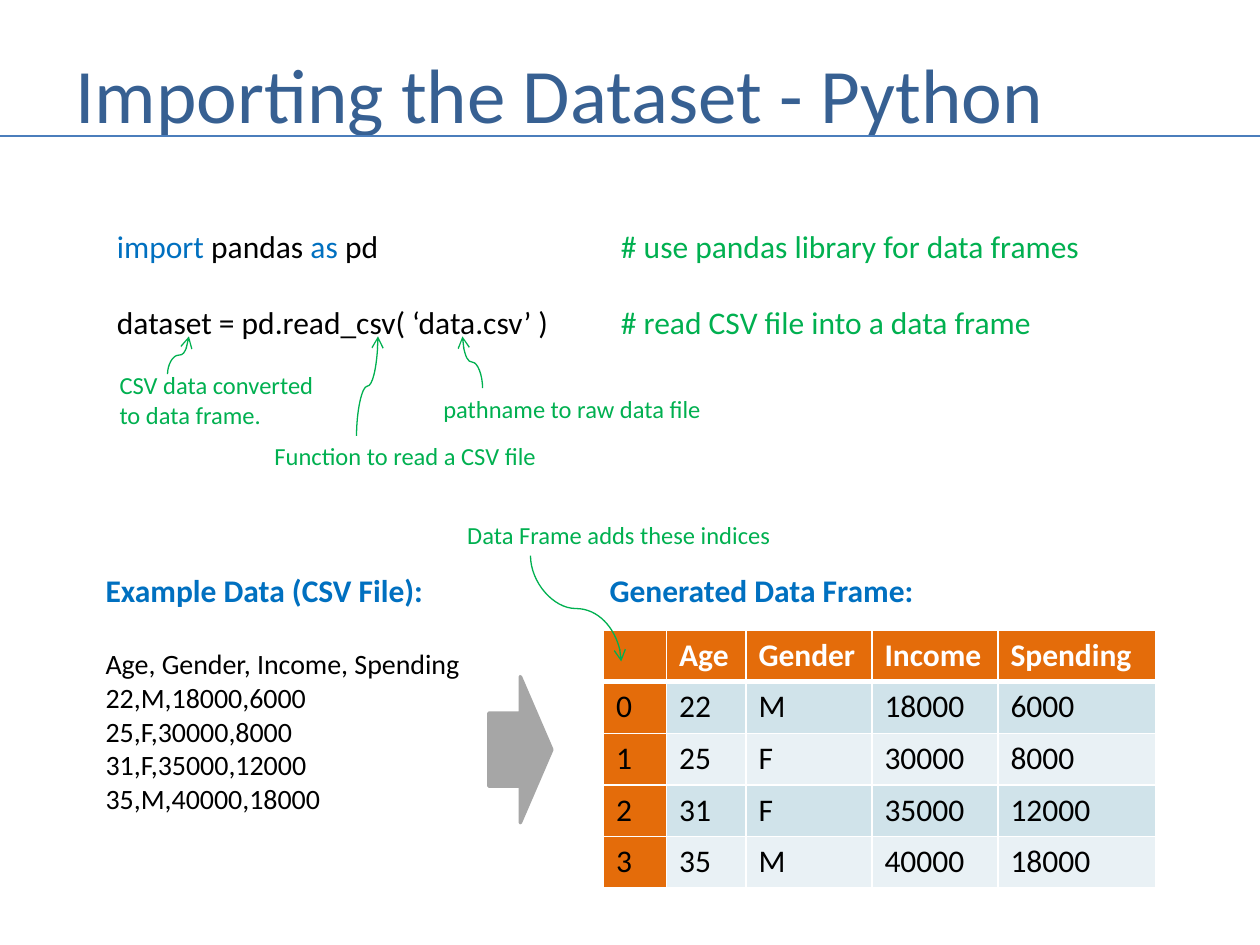
from dataclasses import dataclass

from lxml import etree
from pptx import Presentation
from pptx.dml.color import RGBColor
from pptx.enum.shapes import MSO_CONNECTOR, MSO_SHAPE
from pptx.enum.text import MSO_ANCHOR, MSO_AUTO_SIZE, PP_ALIGN
from pptx.oxml.ns import qn
from pptx.util import Inches, Pt

LINE, CURVE = MSO_CONNECTOR.STRAIGHT, MSO_CONNECTOR.CURVE
ARROW = MSO_SHAPE.RIGHT_ARROW
LEFT, MIDDLE = PP_ALIGN.LEFT, MSO_ANCHOR.MIDDLE
GROW = MSO_AUTO_SIZE.SHAPE_TO_FIT_TEXT

BLACK, WHITE, GRAY = "000000", "FFFFFF", "A6A6A6"
BLUE, GREEN, ORANGE = "0070C0", "00B050", "E46C0A"
BANDS = ["D0E3EA", "E9F1F5"]
TAB = 4  # inches from the text edge to the right-hand column


@dataclass
class Para:
    runs: list[tuple[str, str]]
    size: int = 18
    bold: bool = False
    gap: int = 0


@dataclass
class Box:
    at: tuple[float, float, float, float]
    paras: list[Para]


@dataclass
class Curve:
    start: tuple[float, float]
    end: tuple[float, float]
    turn: int
    flips: str


def note(at: tuple, *lines: str) -> Box:
    return Box(at, [Para([(line, GREEN)], 14) for line in lines])


CODE = Box((0.83, 1.75, 7.92, 1.01), [
    Para([("import", BLUE), (" pandas ", BLACK), ("as ", BLUE), ("pd\t", BLACK),
          ("# use pandas library for data frames", GREEN)]),
    Para([("dataset = pd.read_csv( ‘data.csv’ )\t", BLACK),
          ("# read CSV file into a data frame", GREEN)], gap=22),
])

HEADS = ["Age", "Gender", "Income", "Spending"]
DATA = [
    ["22", "M", "18000", "6000"],
    ["25", "F", "30000", "8000"],
    ["31", "F", "35000", "12000"],
    ["35", "M", "40000", "18000"],
]
CSV = [", ".join(HEADS)] + [",".join(row) for row in DATA]
SAMPLE = Box((0.74, 4.48, 6.67, 2.05), [
    Para([("Example Data (CSV File):\tGenerated Data Frame:", BLUE)], bold=True),
    *[Para([(line, BLACK)], 16, gap=0 if i else 22) for i, line in enumerate(CSV)],
])

NOTES = [
    note((3.42, 3.08, 2.27, 0.34), "pathname to raw data file"),
    note((2.08, 3.45, 2.3, 0.34), "Function to read a CSV file"),
    note((0.85, 2.89, 1.75, 0.57), "CSV data converted", "to data frame."),
]
INDEX = note((3.61, 4.08, 2.63, 0.34), "Data Frame adds these indices")

CURVES = [
    Curve((3.83, 3.08), (3.67, 2.67), 270, "V"),
    Curve((2.83, 3.46), (3, 2.67), 90, "HV"),
    Curve((1.33, 2.97), (1.5, 2.67), 90, "HV"),
    Curve((4.21, 4.41), (4.93, 5.25), 270, "H"),
]

COLS = [0.5, 0.63, 1, 1, 1.25]
ROW = 0.41


def rgb(code: str) -> RGBColor:
    return RGBColor.from_string(code)


def style(font, color: str, size: int, bold: bool = False) -> None:
    for key, value in {"name": "Calibri", "size": Pt(size), "bold": bold}.items():
        setattr(font, key, value)
    font.color.rgb = rgb(color)


def add_text(slide, box: Box) -> None:
    frame = slide.shapes.add_textbox(*map(Inches, box.at)).text_frame
    for key, value in {"word_wrap": False, "auto_size": GROW}.items():
        setattr(frame, key, value)
    for i, item in enumerate(box.paras):
        para = frame.add_paragraph() if i else frame.paragraphs[0]
        if any("\t" in text for text, _ in item.runs):
            tabs = etree.SubElement(para._p.get_or_add_pPr(), qn("a:tabLst"))
            etree.SubElement(tabs, qn("a:tab"), pos=str(Inches(TAB)), algn="l")
        if item.gap:
            para.space_before = Pt(item.gap)
        for text, color in item.runs:
            run = para.add_run()
            run.text = text
            style(run.font, color, item.size, item.bold)


def add_line(slide, kind, ends: tuple, color: str, width: float):
    line = slide.shapes.add_connector(kind, *map(Inches, ends))
    line.line.color.rgb = rgb(color)
    line.line.width = Pt(width)
    etree.SubElement(line._element.spPr, qn("a:effectLst"))
    return line


def add_curve(slide, curve: Curve) -> None:
    """Draw an arrow that leaves and arrives upright, as a turned connector."""
    (x1, y1), (x2, y2) = curve.start, curve.end
    wide, high = abs(y2 - y1), abs(x2 - x1)
    left, top = (x1 + x2 - wide) / 2, (y1 + y2 - high) / 2
    line = add_line(slide, CURVE, (left, top, left + wide, top + high), GREEN, 0.75)
    frame = line._element.spPr.find(qn("a:xfrm"))
    frame.set("rot", str(curve.turn * 60000))
    for flip in curve.flips:
        frame.set("flip" + flip, "1")
    etree.SubElement(line.line._get_or_add_ln(), qn("a:tailEnd"), type="arrow")


def add_edges(cell, base: float) -> None:
    for side in "LRTB":
        width = base if side == "B" else 1
        edge = etree.SubElement(cell._tc.get_or_add_tcPr(), qn("a:ln" + side),
                                w=str(Pt(width)))
        fill = etree.SubElement(edge, qn("a:solidFill"))
        etree.SubElement(fill, qn("a:srgbClr"), val=WHITE)


def add_grid(slide, left: float, top: float) -> None:
    rows = [["", *HEADS]] + [[str(i), *row] for i, row in enumerate(DATA)]
    size = (sum(COLS), ROW * len(rows))
    grid = slide.shapes.add_table(len(rows), len(COLS),
                                  *map(Inches, (left, top, *size))).table
    for col, width in zip(grid.columns, COLS):
        col.width = Inches(width)
    for r, row in enumerate(rows):
        head = r == 0
        for c, text in enumerate(row):
            cell = grid.cell(r, c)
            add_edges(cell, 3 if head else 1)
            cell.fill.solid()
            cell.fill.fore_color.rgb = rgb(ORANGE if head or c == 0 else BANDS[(r - 1) % 2])
            cell.text = text
            style(cell.text_frame.paragraphs[0].font, WHITE if head else BLACK, 18, head)


def add_title(slide, text: str) -> None:
    title = slide.shapes.title
    place = dict(zip(("left", "top", "width", "height"),
                     map(Inches, (0.5, 0.3, 9.08, 0.87))))
    for key, value in place.items():
        setattr(title, key, value)
    frame = title.text_frame
    frame.text = text
    frame.vertical_anchor = MIDDLE
    para = frame.paragraphs[0]
    para.alignment = LEFT
    style(para.runs[0].font, "376092", 44)


def add_block(slide) -> None:
    block = slide.shapes.add_shape(ARROW, *map(Inches, (3.88, 5.37, 0.5, 1.16)))
    block.shadow.inherit = False
    block.fill.solid()
    block.fill.fore_color.rgb = rgb(GRAY)
    block.line.color.rgb = rgb(GRAY)
    block.line.width = Pt(2)


def main() -> None:
    deck = Presentation()
    deck.slide_width, deck.slide_height = Inches(10), Inches(7.5)
    slide = deck.slides.add_slide(deck.slide_layouts[5])
    add_title(slide, "Importing the Dataset - Python")
    add_line(slide, LINE, (0, 1.08, 10, 1.08), "4B7EBC", 1.5)
    for box in [CODE, *NOTES, SAMPLE]:
        add_text(slide, box)
    add_grid(slide, 4.79, 5)
    add_block(slide)
    add_text(slide, INDEX)
    for curve in CURVES:
        add_curve(slide, curve)
    deck.save("out.pptx")


if __name__ == "__main__":
    main()
